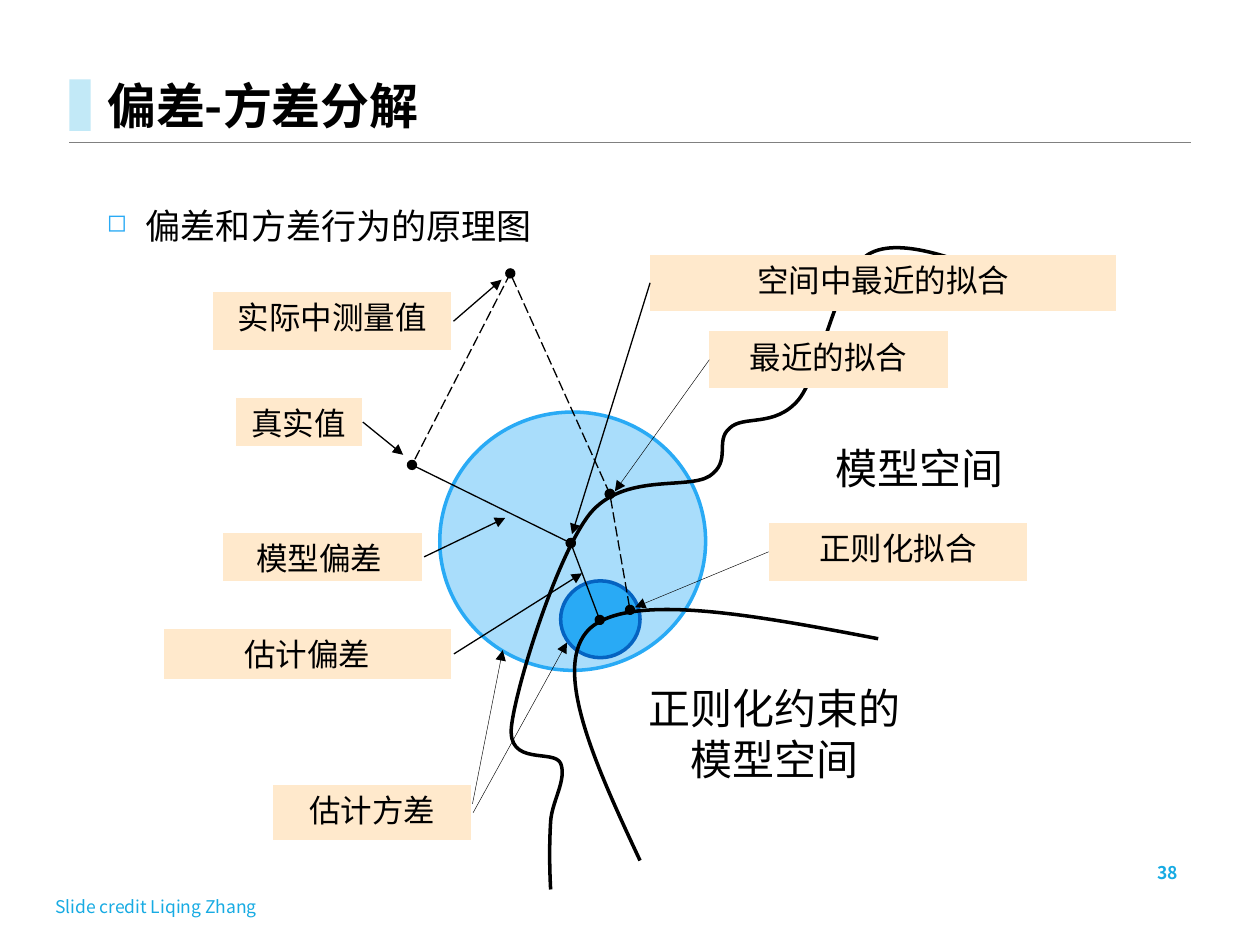
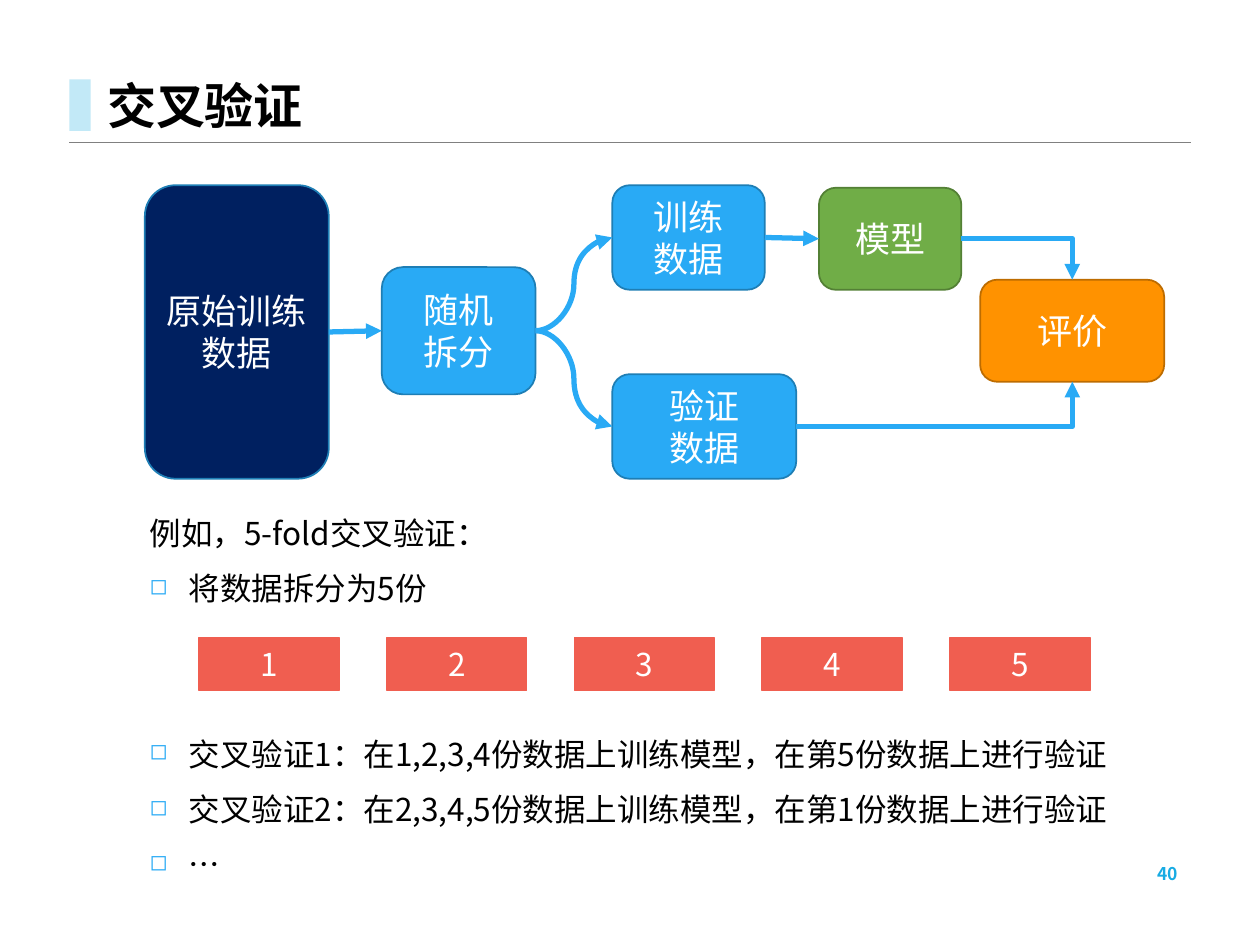
from lxml import etree
from pptx import Presentation
from pptx import util as u
from pptx.dml.color import RGBColor
from pptx.enum import dml, lang, shapes, text
from pptx.oxml.ns import qn

PX = 9144  # 100 px to the inch
FONT = "Noto Sans CJK JP"
BLACK, WHITE, SKY, CYAN = "000000", "FFFFFF", "29AAF5", "17ABE3"
PALE_SKY, GREY, CREAM, CORAL = "C2E9F7", "808080", "FFE9CC", "F05E50"
NAVY, NAVY_EDGE, ROYAL = "002060", "1E7EB5", "0563C1"
GREEN, GREEN_EDGE, ORANGE, ORANGE_EDGE = "70AD47", "538035", "FF9200", "BD6C00"
LEFT, CENTER, RIGHT = text.PP_ALIGN.LEFT, text.PP_ALIGN.CENTER, text.PP_ALIGN.RIGHT
TOP, MIDDLE, BOTTOM = (text.MSO_ANCHOR.TOP, text.MSO_ANCHOR.MIDDLE,
                       text.MSO_ANCHOR.BOTTOM)
FORM, LINK = shapes.MSO_SHAPE, shapes.MSO_CONNECTOR

# Slide 38: bias and variance
MODEL_SPACE = [
    (437, 706), (436, 687), (436, 669), (437, 652), (438, 636), (450, 619), (445, 606),
    (440, 594), (402, 609), (406, 576), (410, 543), (442, 441), (468, 408),
    (495, 375), (545, 389), (563, 378), (581, 366), (567, 350), (579, 340),
    (590, 329), (615, 340), (634, 317), (652, 294), (663, 219), (689, 202),
    (715, 186), (768, 210), (791, 218)]
REGULARIZED_SPACE = [(508, 683), (472, 606), (437, 529), (468, 499),
                     (500, 470), (598, 488), (697, 507)]
CLOSEST_IN_SPACE, REGULARIZED_CENTER = (453, 431), (476, 492)
TRUTH, MEASURED = (327, 369), (405, 217)
CLOSEST_FIT, REGULARIZED_FIT = (484, 392), (500, 484)
DISTANCES = [  # from, to, dashed, dots at both ends
    (CLOSEST_IN_SPACE, REGULARIZED_CENTER, False, True),
    (CLOSEST_IN_SPACE, TRUTH, False, True),
    (MEASURED, CLOSEST_FIT, True, True),
    (CLOSEST_FIT, REGULARIZED_FIT, True, True),
    (MEASURED, TRUTH, True, False)]
CALLOUTS = [  # words, box, arrow tip, line width
    ("正则化拟合", (610, 415, 205, 46), (504, 482), 0.25),
    ("最近的拟合", (563, 263, 189, 45), (488, 390), 0.25),
    ("估计方差", (217, 623, 157, 44), (450, 510), 0.25),
    ("模型偏差 ", (177, 423, 158, 38), (401, 411), 0.75),
    ("估计偏差", (130, 499, 228, 40), (462, 455), 0.75),
    ("真实值", (187, 316, 100, 38), (320, 361), 0.75),
    ("实际中测量值", (169, 232, 189, 46), (398, 222), 0.75),
    ("空间中最近的拟合", (516, 202, 370, 45), (454, 424), 0.75)]
SPACE_NAMES = [("正则化约束的\n模型空间", (481, 537, 268, 91)),
               ("模型空间", (598, 346, 263, 51))]

# Slide 40: cross-validation
STEPS = {  # words, box, fill, edge
    "source": ("原始训练数据", (115, 147, 146, 233), NAVY, NAVY_EDGE),
    "split": ("随机\n拆分", (303, 212, 122, 101), SKY, NAVY_EDGE),
    "train": ("训练\n数据", (486, 147, 121, 83), SKY, NAVY_EDGE),
    "check": ("验证\n数据", (486, 297, 146, 83), SKY, NAVY_EDGE),
    "model": ("模型", (650, 149, 113, 81), GREEN, GREEN_EDGE),
    "score": ("评价", (778, 222, 146, 81), ORANGE, ORANGE_EDGE)}
SITE = {"top": 0, "left": 1, "bottom": 2, "right": 3}
FLOWS = [  # from (right side), to, side entered, kind
    ("source", "split", "left", LINK.STRAIGHT),
    ("split", "train", "left", LINK.CURVE),
    ("split", "check", "left", LINK.CURVE),
    ("train", "model", "left", LINK.STRAIGHT),
    ("model", "score", "top", LINK.ELBOW),
    ("check", "score", "bottom", LINK.ELBOW)]
FOLDS, FOLD_PITCH, FIRST_FOLD = 5, 149, (158, 506, 111, 42)
EXAMPLE = ("例如，5-fold交叉验证：\n"
           "将数据拆分为5份\n"
           "交叉验证1：在1,2,3,4份数据上训练模型，在第5份数据上进行验证\n"
           "交叉验证2：在2,3,4,5份数据上训练模型，在第1份数据上进行验证\n"
           "…")
EXAMPLE_GAPS = (0, 10, 73, 10, 10)  # points; the widest leaves room for the folds


def px(*lengths):
    return [u.Emu(round(length * PX)) for length in lengths]


def color(code):
    return RGBColor.from_string(code)


def sub(parent, tag, **attributes):
    return etree.SubElement(parent, qn(tag), attributes)


def add_bullet(para):
    props = para._p.get_or_add_pPr()
    props.set("marL", str(31 * PX))
    props.set("indent", str(-31 * PX))
    sub(sub(props, "a:buClr"), "a:srgbClr", val=SKY)
    sub(props, "a:buSzPct", val="70000")
    sub(props, "a:buChar", char="◻")


def write(shape, words, size, ink=BLACK, bold=False, align=LEFT, anchor=TOP,
          bullets=(), gaps=None, spacing=None, inset=10):
    """Fill a shape with one paragraph per line; bullets holds the bulleted line numbers."""
    frame = shape.text_frame
    frame.word_wrap = True
    frame.auto_size = text.MSO_AUTO_SIZE.NONE
    frame.vertical_anchor = anchor
    frame.margin_left, frame.margin_right = px(inset, inset)
    for number, line in enumerate(words.split("\n")):
        para = frame.add_paragraph() if number else frame.paragraphs[0]
        if number in bullets:
            add_bullet(para)
        para.alignment = align
        para.space_before = u.Pt(gaps[number] if gaps else 0)
        if spacing:
            para.line_spacing = spacing
        span = para.add_run()
        span.text = line
        font = span.font
        font.size, font.bold, font.name = u.Pt(size), bold, FONT
        font.language_id = lang.MSO_LANGUAGE_ID.SIMPLIFIED_CHINESE
        font.color.rgb = color(ink)
        sub(span._r.get_or_add_rPr(), "a:ea", typeface=FONT)


def add_text(page, words, box, size, **formats):
    write(page.shapes.add_textbox(*px(*box)), words, size, **formats)


def style_line(shape, ink, width, head=None, tail=None, dashed=False):
    shape.line.color.rgb = color(ink)
    shape.line.width = u.Pt(width)
    if dashed:
        shape.line.dash_style = dml.MSO_LINE.LONG_DASH
    outline = shape.element.spPr.get_or_add_ln()
    for tag, kind in (("a:headEnd", head), ("a:tailEnd", tail)):
        if kind:
            sub(outline, tag, type=kind)


def add_form(page, form, box, fill, edge=None, width=1, alpha=None, tail=None):
    shape = page.shapes.add_shape(form, *px(*box))
    shape.shadow.inherit = False
    shape.fill.solid()
    shape.fill.fore_color.rgb = color(fill)
    if alpha:
        tint = shape.element.spPr.find(qn("a:solidFill"))[0]
        sub(tint, "a:alpha", val=str(alpha * 1000))
    if edge:
        style_line(shape, edge, width, tail=tail)
    else:
        shape.line.fill.background()
    return shape


def add_link(page, start, end, ink, width, kind=LINK.STRAIGHT, **ends):
    link = page.shapes.add_connector(kind, *px(*start, *end))
    style_line(link, ink, width, **ends)
    sub(link.element.spPr, "a:effectLst")
    return link


def add_curve(page, points):
    """Draw joined cubic curves: a start point, then three points for each curve."""
    builder = page.shapes.build_freeform(*points[0], scale=PX)
    builder.add_line_segments(points[1:], close=False)
    curve = builder.convert_to_shape()
    curve.shadow.inherit = False
    curve.fill.background()
    style_line(curve, BLACK, 2)
    outline = next(curve.element.iter(qn("a:path")))
    outline.set("fill", "none")
    segments = outline.findall(qn("a:lnTo"))
    for first in range(0, len(segments), 3):
        bend = sub(outline, "a:cubicBezTo")
        for segment in segments[first:first + 3]:
            bend.append(segment[0])
            outline.remove(segment)


def add_callout(page, words, box, tip, width):
    left, top, wide, high = box
    shape = add_form(page, FORM.LINE_CALLOUT_1_NO_BORDER, box, CREAM, BLACK, width,
                     tail="triangle")
    side = 0 if tip[0] < left else 1.01
    places = (0.5, side, (tip[1] - top) / high, (tip[0] - left) / wide)
    for index, place in enumerate(places):
        shape.adjustments[index] = place
    write(shape, words, 18, align=CENTER)


def dress_layout(page):
    """Move the title rule and band to the layout, behind its placeholders."""
    rule = add_link(page, (55, 113), (945, 113), GREY, 0.25)
    band = add_form(page, FORM.RECTANGLE, (55, 63, 17, 41), PALE_SKY)
    tree = page.slide_layout.shapes.element
    for number, part in enumerate((rule, band)):
        next(part.element.iter(qn("p:cNvPr"))).set("id", str(20 + number))
        tree.insert(2 + number, part.element)


def add_page(deck, title, number, number_top):
    page = deck.slides.add_slide(deck.slide_layouts[5])
    heading = page.shapes.title
    heading.left, heading.top, heading.width, heading.height = px(75, 0, 890, 112)
    write(heading, title, 28, bold=True, anchor=BOTTOM, spacing=0.9)
    add_text(page, str(number), (706, number_top, 239, 23), 10, ink=CYAN, bold=True,
             align=RIGHT, anchor=MIDDLE)
    return page


def build_bias_variance(deck):
    page = add_page(deck, "偏差-方差分解", 38, 681)
    dress_layout(page)
    add_text(page, "偏差和方差行为的原理图", (75, 157, 820, 43), 20, bullets=[0])
    add_text(page, "Slide credit Liqing Zhang", (34, 708, 340, 23), 10, ink=CYAN,
             anchor=MIDDLE)
    add_form(page, FORM.OVAL, (349, 327, 211, 205), SKY, SKY, 2, alpha=40)
    add_form(page, FORM.OVAL, (445, 461, 63, 61), SKY, ROYAL, 2)
    add_curve(page, MODEL_SPACE)
    add_curve(page, REGULARIZED_SPACE)
    for start, end, dashed, dots in DISTANCES:
        dot = "oval" if dots else None
        add_link(page, start, end, BLACK, 0.75, head=dot, tail=dot, dashed=dashed)
    add_link(page, (399, 516), (375, 638), BLACK, 0.25, head="triangle")
    for callout in CALLOUTS:
        add_callout(page, *callout)
    for words, box in SPACE_NAMES:
        add_text(page, words, box, 24, align=CENTER)


def build_cross_validation(deck):
    page = add_page(deck, "交叉验证", 40, 682)
    add_text(page, EXAMPLE, (109, 403, 820, 329), 18, bullets=range(1, 5),
             gaps=EXAMPLE_GAPS)
    left, *rest = FIRST_FOLD
    for fold in range(FOLDS):
        box = add_form(page, FORM.RECTANGLE, (left + fold * FOLD_PITCH, *rest),
                       CORAL, CORAL)
        write(box, str(fold + 1), 18, ink=WHITE, align=CENTER, anchor=MIDDLE)
    boxes = {}
    for name, (words, place, fill, edge) in STEPS.items():
        boxes[name] = add_form(page, FORM.ROUNDED_RECTANGLE, place, fill, edge)
        write(boxes[name], words, 20, ink=WHITE, align=CENTER, anchor=MIDDLE, inset=5)
    for start, end, side, kind in FLOWS:
        link = add_link(page, (0, 0), (0, 0), SKY, 3, kind, tail="triangle")
        link.begin_connect(boxes[start], SITE["right"])
        link.end_connect(boxes[end], SITE[side])
        if kind == LINK.ELBOW:  # a single corner
            link.element.spPr.find(qn("a:prstGeom")).set("prst", "bentConnector2")


def main():
    deck = Presentation()
    deck.slide_width, deck.slide_height = px(1000, 750)
    build_bias_variance(deck)
    build_cross_validation(deck)
    deck.save("out.pptx")


if __name__ == "__main__":
    main()
